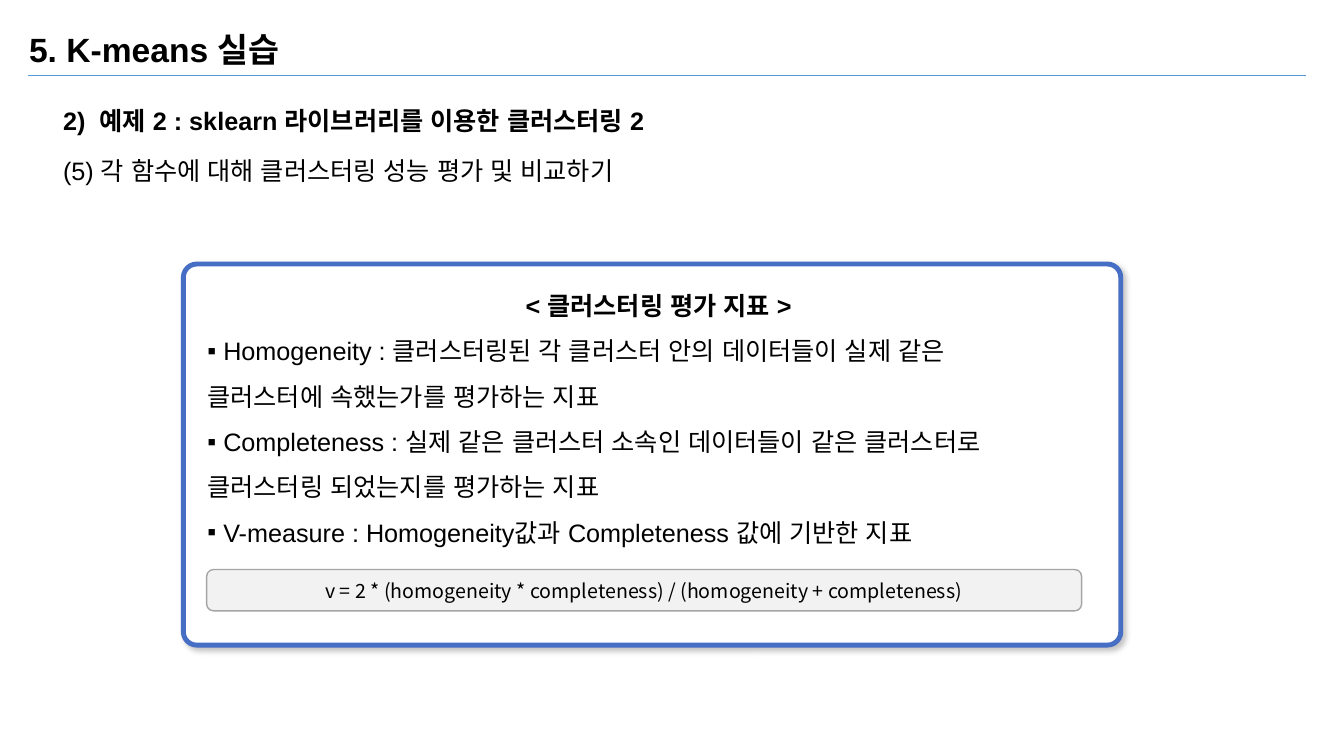
from lxml.etree import SubElement
from pptx import Presentation
from pptx.dml.color import RGBColor
from pptx.enum.lang import MSO_LANGUAGE_ID
from pptx.enum.shapes import MSO_CONNECTOR, MSO_SHAPE
from pptx.enum.text import MSO_ANCHOR, PP_ALIGN
from pptx.oxml.ns import qn
from pptx.util import Pt

COLORS = {
    "text": "000000",
    "rule": "5B9BD5",
    "card": "FFFFFF",
    "card_edge": "476EC5",
    "formula": "F2F2F2",
    "formula_edge": "A5A5A5",
}
METRICS = [
    ("▪", " Homogeneity : 클러스터링된 각 클러스터 안의 데이터들이 실제 같은"),
    (None, "클러스터에 속했는가를 평가하는 지표"),
    ("▪", " Completeness : 실제 같은 클러스터 소속인 데이터들이 같은 클러스터로"),
    (None, "클러스터링 되었는지를 평가하는 지표"),
    ("▪", " V-measure : Homogeneity값과 Completeness 값에 기반한 지표"),
]


class SlideBuilder:
    def __init__(self, page, font="Arial"):
        self.page = page
        self.font = font

    def color(self, name):
        return RGBColor.from_string(COLORS[name])

    def rule(self, left, top, right, color, weight):
        line = self.page.shapes.add_connector(
            MSO_CONNECTOR.STRAIGHT, Pt(left), Pt(top), Pt(right), Pt(top))
        line.line.color.rgb = self.color(color)
        line.line.width = Pt(weight)
        SubElement(line._element.spPr, qn("a:effectLst"))

    def text_box(self, left, top, width, height):
        box = self.page.shapes.add_textbox(Pt(left), Pt(top), Pt(width), Pt(height))
        box.text_frame.word_wrap = True
        return box.text_frame

    def rounded_box(self, left, top, width, height, radius, fill, edge, weight):
        box = self.page.shapes.add_shape(
            MSO_SHAPE.ROUNDED_RECTANGLE, Pt(left), Pt(top), Pt(width), Pt(height))
        box.adjustments[0] = radius
        box.shadow.inherit = False
        box.fill.solid()
        box.fill.fore_color.rgb = self.color(fill)
        box.line.color.rgb = self.color(edge)
        box.line.width = Pt(weight)
        box.text_frame.word_wrap = True
        box.text_frame.vertical_anchor = MSO_ANCHOR.MIDDLE
        return box

    def drop_shadow(self, box):
        effects = box._element.spPr.find(qn("a:effectLst"))
        shadow = SubElement(effects, qn("a:outerShdw"), blurRad=str(Pt(4)),
                            dist=str(Pt(3)), dir="2700000", rotWithShape="0")
        black = SubElement(shadow, qn("a:srgbClr"), val="000000")
        SubElement(black, qn("a:alpha"), val="23000")

    def paragraph(self, frame, text, size=18, bold=False, align=PP_ALIGN.LEFT,
                  spacing=None, after=0, bullet=None, font=None):
        """Fill the frame's empty first paragraph, or append a new one."""
        first = frame.paragraphs[0]
        para = frame.add_paragraph() if first.runs else first
        para.alignment = align
        para.space_after = Pt(after)
        if spacing:
            para.line_spacing = spacing
        if bullet:
            properties = para._p.get_or_add_pPr()
            SubElement(properties, qn("a:buFont"), typeface="Arial")
            SubElement(properties, qn("a:buChar"), char=bullet)
        span = para.add_run()
        span.text = text
        span.font.name = font or self.font
        span.font.size = Pt(size)
        span.font.bold = bold
        span.font.color.rgb = self.color("text")
        span.font.language_id = MSO_LANGUAGE_ID.KOREAN
        SubElement(span._r.get_or_add_rPr(), qn("a:ea"), typeface=font or self.font)


def main():
    deck = Presentation()
    deck.slide_width, deck.slide_height = Pt(960), Pt(540)
    builder = SlideBuilder(deck.slides.add_slide(deck.slide_layouts[6]))

    builder.rule(20, 54, 933, "rule", 0.5)
    title = builder.text_box(13.7, 17.3, 940, 36)
    builder.paragraph(title, "5. K-means 실습", size=24, bold=True)

    section = builder.text_box(38, 72, 468, 65.5)
    builder.paragraph(section, "2)  예제 2 : sklearn 라이브러리를 이용한 클러스터링 2",
                      bold=True, after=14)
    builder.paragraph(section, "(5) 각 함수에 대해 클러스터링 성능 평가 및 비교하기")

    card = builder.rounded_box(131, 188.6, 669.6, 272.2, 0.035,
                               "card", "card_edge", 3.5)
    builder.drop_shadow(card)
    frame = card.text_frame
    frame.margin_left, frame.margin_top = Pt(14.4), 0
    frame.margin_right, frame.margin_bottom = 0, Pt(62)
    builder.paragraph(frame, "< 클러스터링 평가 지표 > ", bold=True,
                      align=PP_ALIGN.CENTER, spacing=1.5)
    for bullet, text in METRICS:
        builder.paragraph(frame, text, spacing=1.5, bullet=bullet)

    formula = builder.rounded_box(147.6, 406.8, 625, 29.5, 0.167,
                                  "formula", "formula_edge", 1)
    builder.paragraph(
        formula.text_frame,
        "v = 2 * (homogeneity * completeness) / (homogeneity + completeness)",
        size=14, align=PP_ALIGN.CENTER, font="Noto Sans CJK KR")

    deck.save("out.pptx")


if __name__ == "__main__":
    main()
